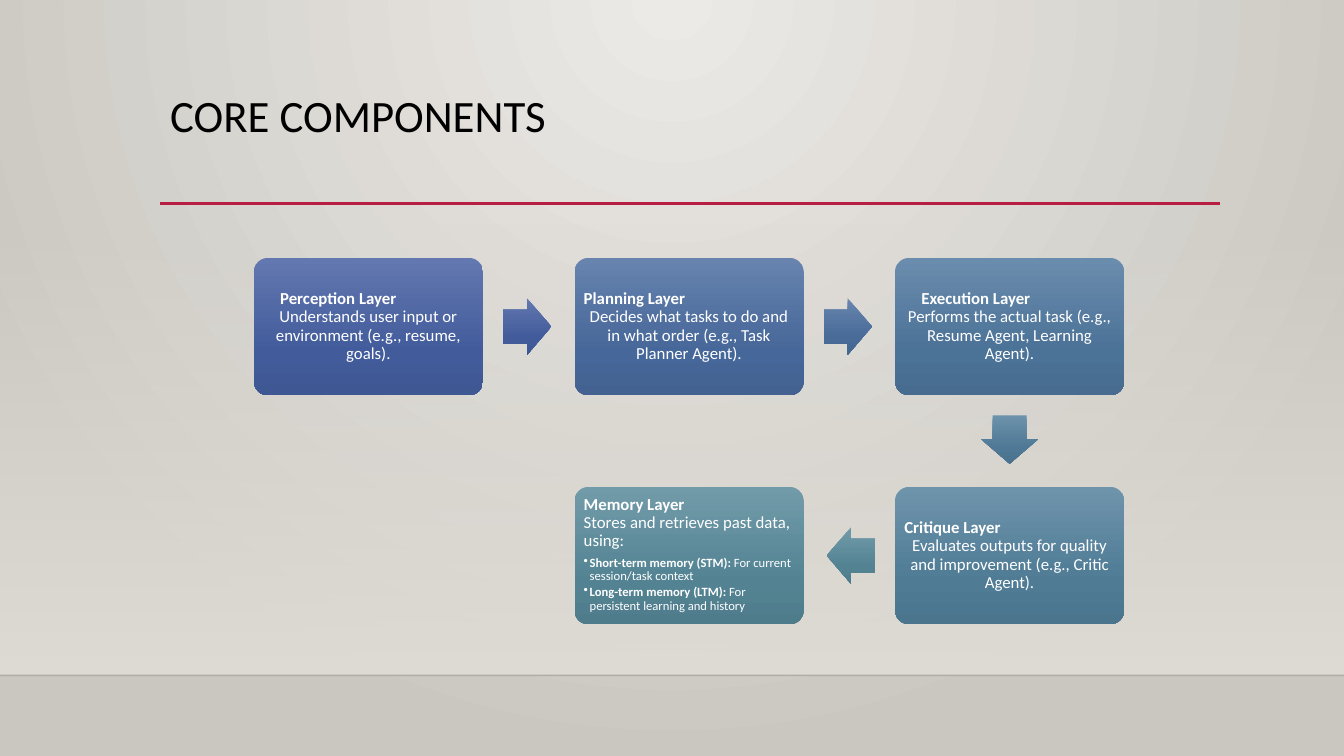
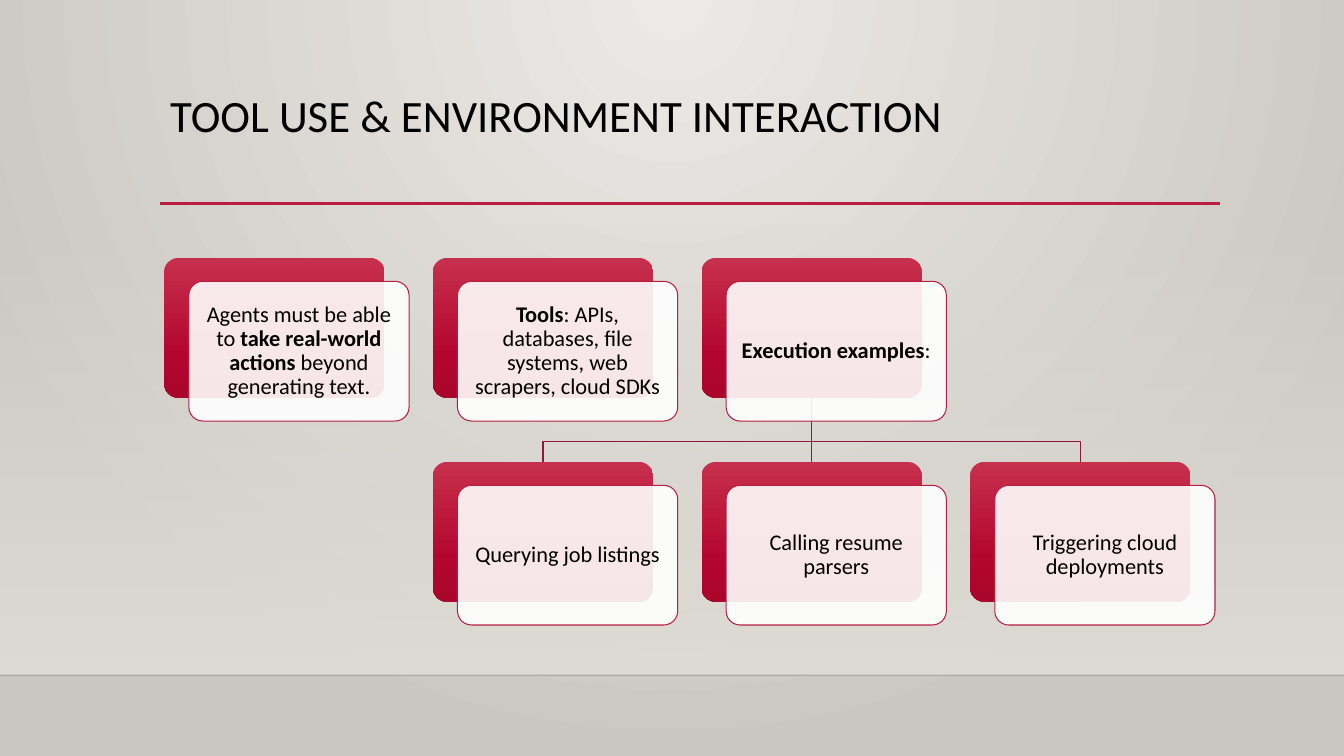
import dataclasses

import lxml.etree
import pptx
import pptx.dml.color
import pptx.enum.shapes
import pptx.enum.text
import pptx.oxml.ns
import pptx.util

Cm = pptx.util.Cm
Pt = pptx.util.Pt
qn = pptx.oxml.ns.qn
SHAPES = pptx.enum.shapes.MSO_SHAPE
ALIGN = pptx.enum.text.PP_ALIGN
ANCHOR = pptx.enum.text.MSO_ANCHOR


@dataclasses.dataclass(frozen=True)
class Theme:
    font: str = "Calibri"
    title_size: float = 32
    card_size: float = 16
    box_size: float = 12
    bullet_size: float = 9
    line_spacing: float = 0.9
    text: str = "000000"
    light_text: str = "FFFFFF"
    card: str = "FFFFFF"
    accent: str = "B71E42"
    branch: str = "931835"
    floor: str = "000001"
    backdrop: tuple = ((0, "ECEAE7"), (100, "CAC7C1"))
    wall: tuple = ((0, "DFDBD5", 0), (100, "DFDBD5"))
    red: tuple = ((0, "C7304C"), (69, "B3062F"), (100, "AA062C"))


THEME = Theme()
PAGE_WIDTH, PAGE_HEIGHT = 33.87, 19.05
FLOOR_TOP = 17.02
CONTENT_LEFT, CONTENT_WIDTH = 4.04, 26.7
CONTENT_TOP = 6.5

# Flow of layers: grid and arrows
BOX_LEFT, BOX_WIDTH, BOX_HEIGHT = 6.4, 5.77, 3.46
BOX_STEP_X, BOX_STEP_Y = 8.08, 5.77
ARROW_LENGTH, ARROW_BREADTH, ARROW_SETBACK = 1.22, 1.42, 0.04

# column, row, gradient colours, heading, heading indent, body, bullets
LAYERS = [
    (0, 0, "6378B0 425B9B 3F5793", "Perception Layer", 0.43,
     "Understands user input or environment (e.g., resume, goals).", []),
    (1, 0, "6783AE 466799 436291", "Planning Layer", 0,
     "Decides what tasks to do and in what order (e.g., Task Planner Agent).", []),
    (2, 0, "6A8CAD 4B7297 476C8F", "Execution Layer", 0.43,
     "Performs the actual task (e.g., Resume Agent, Learning Agent).", []),
    (2, 1, "6E94AB 4F7B95 4B758D", "Critique Layer", 0,
     "Evaluates outputs for quality and improvement (e.g., Critic Agent).", []),
    (1, 1, "729BA9 538393 4F7C8B", "Memory Layer", 0,
     "Stores and retrieves past data, using:",
     [("Short-term memory (STM):", " For current session/task context"),
      ("Long-term memory (LTM):", " For persistent learning and history")]),
]
ARROW_COLOURS = ["6378B0 425B9B 3F5793", "6886AE 486B98 446690",
                 "6D92AB 4E7895 4A728E", "729BA9 538393 4F7C8B"]
ARROW_KINDS = {(1, 0): SHAPES.RIGHT_ARROW, (-1, 0): SHAPES.LEFT_ARROW,
               (0, 1): SHAPES.DOWN_ARROW}

# Hierarchy of cards
CARD_LEFT, CARD_WIDTH, CARD_HEIGHT = 4.14, 5.55, 3.52
CARD_STEP_X, CARD_STEP_Y = 6.77, 5.14
CARD_SHIFT_X, CARD_SHIFT_Y = 0.62, 0.59
BRANCH_RISE = 0.51
PARENT_COLUMN = 2

# column, row, runs of (text, bold)
CARDS = [
    (0, 0, [("Agents must be able to ", False), ("take real-world actions", True),
            (" beyond generating text.", False)]),
    (1, 0, [("Tools", True),
            (": APIs, databases, file systems, web scrapers, cloud SDKs", False)]),
    (2, 0, [("Execution examples", True), (":", False)]),
    (1, 1, [("Querying job listings", False)]),
    (2, 1, [("Calling resume parsers", False)]),
    (3, 1, [("Triggering cloud deployments", False)]),
]


# Fills and lines
def rgb(value):
    return pptx.dml.color.RGBColor.from_string(value)


def add_alpha(colour, percent):
    lxml.etree.SubElement(colour, qn("a:alpha"), val=str(percent * 1000))


def set_stops(gradient, stops):
    stop_list = gradient.find(qn("a:gsLst"))
    for old_stop in list(stop_list):
        stop_list.remove(old_stop)
    for position, value, *alpha in stops:
        stop = lxml.etree.SubElement(stop_list, qn("a:gs"), pos=str(position * 1000))
        colour = lxml.etree.SubElement(stop, qn("a:srgbClr"), val=value)
        if alpha:
            add_alpha(colour, alpha[0])


def layer_stops(colours):
    return tuple(zip((0, 69, 100), colours.split()))


def solid_colour(parent):
    return parent.find(qn("a:solidFill")).find(qn("a:srgbClr"))


def set_line(line, colour, width):
    line.color.rgb = rgb(colour)
    line.width = Pt(width)


def add_gradient_shape(slide, kind, left, top, width, height, stops):
    shape = slide.shapes.add_shape(kind, Cm(left), Cm(top), Cm(width), Cm(height))
    shape.shadow.inherit = False
    shape.line.fill.background()
    shape.fill.gradient()
    shape.fill.gradient_angle = 270
    set_stops(shape.element.spPr.find(qn("a:gradFill")), stops)
    return shape


def add_line(slide, start, end, colour, width):
    line = slide.shapes.add_connector(
        pptx.enum.shapes.MSO_CONNECTOR.STRAIGHT, *(Cm(value) for value in start + end))
    set_line(line.line, colour, width)
    lxml.etree.SubElement(line.element.spPr, qn("a:effectLst"))
    return line


# Text
def prepare_frame(shape, inset, anchor):
    frame = shape.text_frame
    frame.word_wrap = True
    frame.vertical_anchor = anchor
    frame.margin_left = frame.margin_right = Cm(inset)
    frame.margin_top = frame.margin_bottom = Cm(inset)
    return frame


def write_paragraph(paragraph, runs, size, colour, align, space_after=0):
    paragraph.alignment = align
    paragraph.line_spacing = THEME.line_spacing
    paragraph.space_after = Pt(space_after)
    for text, bold in runs:
        run = paragraph.add_run()
        run.text = text
        run.font.name = THEME.font
        run.font.size = Pt(size)
        run.font.bold = bold
        run.font.color.rgb = rgb(colour)


def set_indent(paragraph, left, first=0, bullet=None):
    properties = paragraph._p.get_or_add_pPr()
    properties.set("marL", str(Cm(left)))
    properties.set("indent", str(Cm(first)))
    if bullet:
        lxml.etree.SubElement(properties, qn("a:buChar"), char=bullet)


# Parts shared by the slides
def set_backdrop(master):
    master.background.fill.gradient()
    gradient = next(master.element.iter(qn("a:gradFill")))
    set_stops(gradient, THEME.backdrop)
    gradient.remove(gradient.find(qn("a:lin")))
    circle = lxml.etree.SubElement(gradient, qn("a:path"), path="circle")
    lxml.etree.SubElement(circle, qn("a:fillToRect"),
                          l="43000", t="0", r="43000", b="100000")


def add_titled_slide(presentation, title):
    slide = presentation.slides.add_slide(presentation.slide_layouts[6])
    wall_top = 5.61
    add_gradient_shape(slide, SHAPES.RECTANGLE, 0, wall_top, PAGE_WIDTH,
                       FLOOR_TOP - wall_top, THEME.wall)
    floor = add_line(slide, (0, FLOOR_TOP), (PAGE_WIDTH, FLOOR_TOP), THEME.floor, 1)
    add_alpha(solid_colour(floor.element.spPr.find(qn("a:ln"))), 20)
    rule_top = 5.13
    add_line(slide, (CONTENT_LEFT, rule_top),
             (CONTENT_LEFT + CONTENT_WIDTH, rule_top), THEME.accent, 2.5)
    box = slide.shapes.add_textbox(Cm(CONTENT_LEFT), Cm(2.24), Cm(CONTENT_WIDTH), Cm(2.92))
    frame = prepare_frame(box, 0.25, ANCHOR.TOP)
    frame.margin_top = Cm(0.13)
    write_paragraph(frame.paragraphs[0], [(title, False)], THEME.title_size,
                    THEME.text, ALIGN.LEFT)
    return slide


# Flow of layers
def add_layer(slide, column, row, colours, heading, indent, body, bullets):
    box = add_gradient_shape(
        slide, SHAPES.ROUNDED_RECTANGLE, BOX_LEFT + column * BOX_STEP_X,
        CONTENT_TOP + row * BOX_STEP_Y, BOX_WIDTH, BOX_HEIGHT, layer_stops(colours))
    box.adjustments[0] = 0.1
    frame = prepare_frame(box, 0.13, ANCHOR.TOP if bullets else ANCHOR.MIDDLE)
    write_paragraph(frame.paragraphs[0], [(heading, True)], THEME.box_size,
                    THEME.light_text, ALIGN.LEFT)
    set_indent(frame.paragraphs[0], indent)
    write_paragraph(frame.add_paragraph(), [(body, False)], THEME.box_size,
                    THEME.light_text, ALIGN.LEFT if bullets else ALIGN.CENTER,
                    4.2 if bullets else 0)
    for term, meaning in bullets:
        paragraph = frame.add_paragraph()
        write_paragraph(paragraph, [(term, True), (meaning, False)], THEME.bullet_size,
                        THEME.light_text, ALIGN.LEFT, 1.35)
        set_indent(paragraph, 0.15, -0.15, "•")


def add_flow_arrow(slide, start, end, colours):
    step_x, step_y = end[0] - start[0], end[1] - start[1]
    centre_x = (BOX_LEFT + BOX_WIDTH / 2 + (start[0] + step_x / 2) * BOX_STEP_X
                - step_x * ARROW_SETBACK)
    centre_y = (CONTENT_TOP + BOX_HEIGHT / 2 + (start[1] + step_y / 2) * BOX_STEP_Y
                - step_y * ARROW_SETBACK)
    width, height = ARROW_LENGTH, ARROW_BREADTH
    if step_y:
        width, height = height, width
    arrow = add_gradient_shape(
        slide, ARROW_KINDS[step_x, step_y], centre_x - width / 2,
        centre_y - height / 2, width, height, layer_stops(colours))
    arrow.adjustments[0] = 0.6
    arrow.adjustments[1] = 0.5


# Hierarchy of cards
def add_card(slide, column, row, runs):
    left = CARD_LEFT + column * CARD_STEP_X
    top = CONTENT_TOP + row * CARD_STEP_Y
    back = add_gradient_shape(slide, SHAPES.ROUNDED_RECTANGLE, left, top,
                              CARD_WIDTH, CARD_HEIGHT, THEME.red)
    front = slide.shapes.add_shape(
        SHAPES.ROUNDED_RECTANGLE, Cm(left + CARD_SHIFT_X), Cm(top + CARD_SHIFT_Y),
        Cm(CARD_WIDTH), Cm(CARD_HEIGHT))
    back.adjustments[0] = front.adjustments[0] = 0.1
    front.shadow.inherit = False
    front.fill.solid()
    front.fill.fore_color.rgb = rgb(THEME.card)
    add_alpha(solid_colour(front.element.spPr), 90)
    set_line(front.line, THEME.accent, 0.75)
    frame = prepare_frame(front, 0.17, ANCHOR.MIDDLE)
    write_paragraph(frame.paragraphs[0], runs, THEME.card_size, THEME.text, ALIGN.CENTER)


def add_branch(slide, child_column):
    parent_x, child_x = (CARD_LEFT + CARD_WIDTH / 2 + column * CARD_STEP_X
                         for column in (PARENT_COLUMN, child_column))
    top, bottom = CONTENT_TOP + CARD_HEIGHT, CONTENT_TOP + CARD_STEP_Y
    if child_column == PARENT_COLUMN:
        add_line(slide, (parent_x, top), (child_x, bottom), THEME.branch, 0.75)
        return
    bend = bottom - BRANCH_RISE
    builder = slide.shapes.build_freeform(Cm(parent_x), Cm(top))
    corners = [(parent_x, bend), (child_x, bend), (child_x, bottom)]
    builder.add_line_segments([(Cm(x), Cm(y)) for x, y in corners], close=False)
    elbow = builder.convert_to_shape()
    elbow.shadow.inherit = False
    elbow.fill.background()
    set_line(elbow.line, THEME.branch, 0.75)


def main():
    presentation = pptx.Presentation()
    presentation.slide_width = Cm(PAGE_WIDTH)
    presentation.slide_height = Cm(PAGE_HEIGHT)
    set_backdrop(presentation.slide_master)

    components = add_titled_slide(presentation, "CORE COMPONENTS")
    for layer in LAYERS:
        add_layer(components, *layer)
    for start, end, colours in zip(LAYERS, LAYERS[1:], ARROW_COLOURS):
        add_flow_arrow(components, start[:2], end[:2], colours)

    tools = add_titled_slide(presentation, "TOOL USE & ENVIRONMENT INTERACTION")
    for column, row, _ in CARDS:
        if row == 1:
            add_branch(tools, column)
    for card in CARDS:
        add_card(tools, *card)

    presentation.save("out.pptx")


if __name__ == "__main__":
    main()
